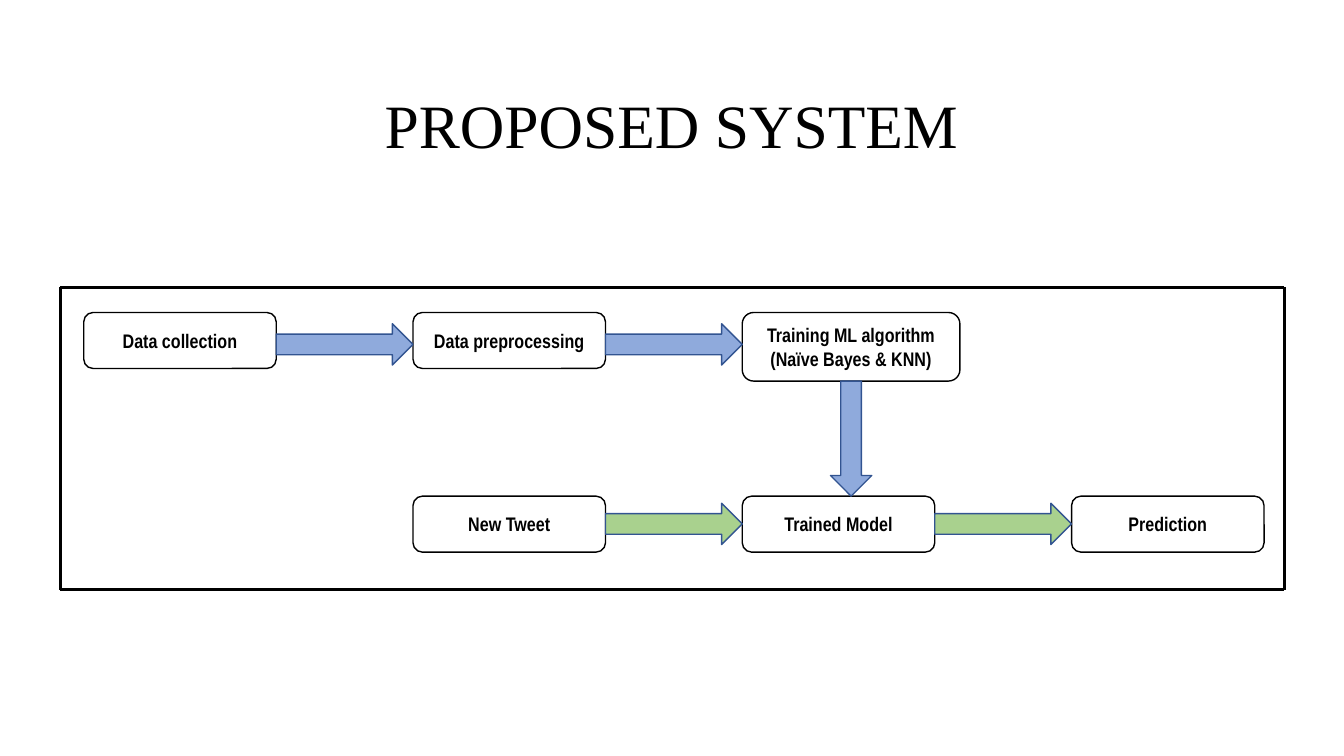
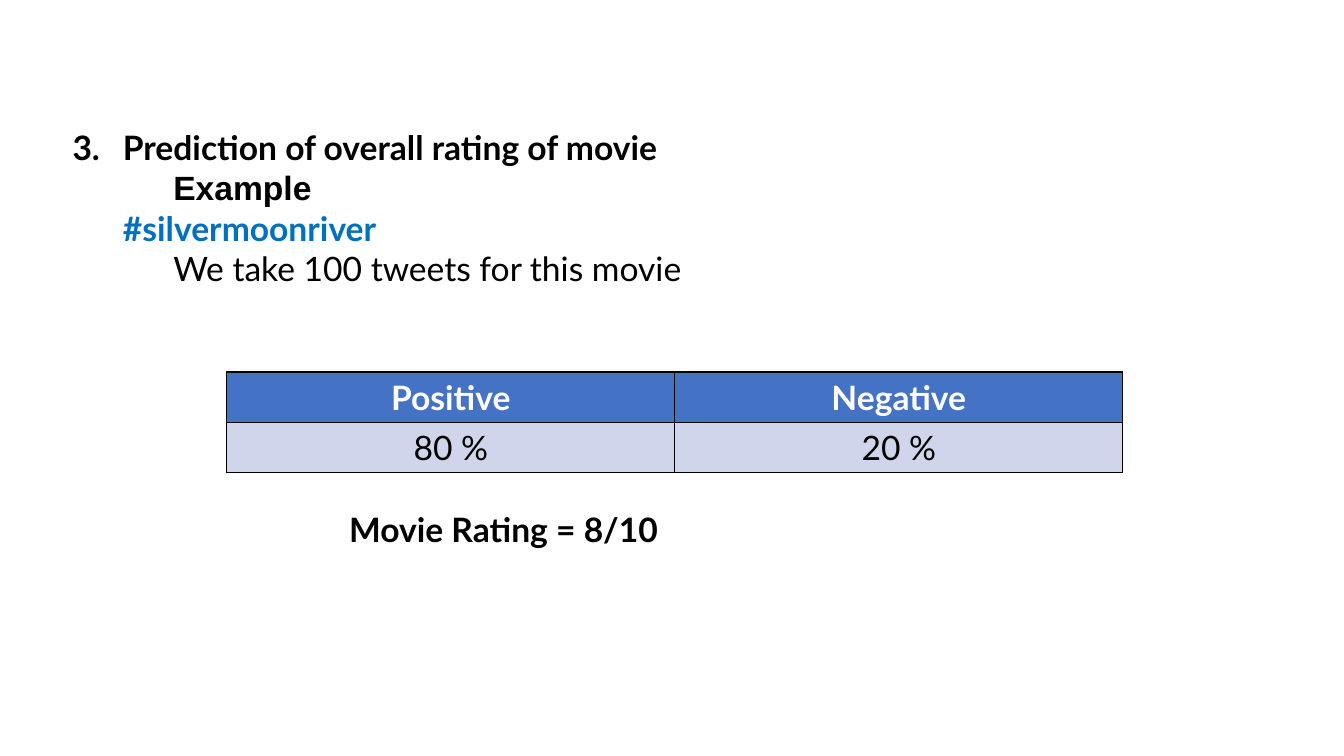
"""Build two slides: the proposed system flow and the movie rating example."""
import pptx
import pptx.util
import pptx.dml.color
import pptx.enum.shapes
import pptx.enum.text
import pptx.oxml.ns
from lxml import etree

Pt = pptx.util.Pt
Shape = pptx.enum.shapes.MSO_SHAPE
Align = pptx.enum.text.PP_ALIGN
Anchor = pptx.enum.text.MSO_ANCHOR
qn = pptx.oxml.ns.qn

HUES = {
    "ink": "000000", "paper": "FFFFFF", "train": "8FAADC", "test": "A9D18E",
    "edge": "325491", "tag": "0070C0", "head": "4472C4", "cell": "CFD5EA",
}
TITLE = "PROPOSED SYSTEM"
SMALL, LARGE = (137.5, 40), (155.5, 49)
TOP, LOW = 223.2, 354.4
BOXES = [
    ("Data collection", 0, TOP, SMALL),
    ("Data preprocessing", 1, TOP, SMALL),
    ("Training ML algorithm (Naïve Bayes & KNN)", 2, TOP, LARGE),
    ("New Tweet", 1, LOW, SMALL),
    ("Trained Model", 2, LOW, SMALL),
    ("Prediction", 3, LOW, SMALL),
]
ARROWS = [(0, 246, "train"), (1, 246, "train"), (1, 374.2, "test"), (2, 374.2, "test")]
LEFT, STEP, THICK = 59.8, 235.2, 29.5
FRAME = [(43.2, 205.2), (917.3, 205.2), (917.3, 421.2), (43.2, 421.2)]

STEPS = [
    ("Prediction of overall rating of movie", 72, "Lato", "ink", True),
    ("Example", 108, "Arial", "ink", True),
    ("#silvermoonriver", 72, "Lato", "tag", True),
    ("We take 100 tweets for this movie", 108, "Lato", "ink", False),
]
TABLE = [("Positive", "Negative"), ("80 %", "20 %")]
LOOKS = [("head", "paper", True), ("cell", "ink", False)]
RATING = "Movie Rating = 8/10"


def rgb(hue):
    return pptx.dml.color.RGBColor.from_string(HUES[hue])


def style(para, face, size, hue="ink", bold=False, align=Align.CENTER):
    para.alignment = align
    for run in para.runs:
        font = run.font
        font.name, font.size, font.bold = face, Pt(size), bold
        font.color.rgb = rgb(hue)


def place(item, x, y, w, h):
    item.left, item.top, item.width, item.height = Pt(x), Pt(y), Pt(w), Pt(h)


def draw(slide, kind, x, y, w, h, fill, line):
    item = slide.shapes.add_shape(kind, Pt(x), Pt(y), Pt(w), Pt(h))
    item.shadow.inherit = False
    item.fill.solid()
    item.fill.fore_color.rgb = rgb(fill)
    item.line.color.rgb = rgb(line)
    item.line.width = Pt(1)
    return item


def rule(slide, start, end):
    line = slide.shapes.add_connector(
        pptx.enum.shapes.MSO_CONNECTOR.STRAIGHT, *map(Pt, start + end))
    line.line.color.rgb = rgb("ink")
    line.line.width = Pt(2.25)
    etree.SubElement(line._element.spPr, qn("a:effectLst"))


def mark(para, indent, start=None):
    props = para._p.get_or_add_pPr()
    props.set("marL", str(Pt(indent)))
    props.set("indent", str(Pt(-36 if start else 0)))
    if start:
        etree.SubElement(props, qn("a:buAutoNum"), type="arabicPeriod", startAt=str(start))
    else:
        etree.SubElement(props, qn("a:buNone"))


def border(cell):
    props = cell._tc.get_or_add_tcPr()
    for side in ("lnL", "lnR", "lnT", "lnB"):
        line = etree.SubElement(props, qn("a:" + side), w=str(Pt(1)))
        fill = etree.SubElement(line, qn("a:solidFill"))
        etree.SubElement(fill, qn("a:srgbClr"), val=HUES["ink"])


def flow(deck):
    slide = deck.slides.add_slide(deck.slide_layouts[5])
    title = slide.shapes.title
    place(title, 267, 58.3, 425.5, 60.5)
    frame = title.text_frame
    frame.text = TITLE
    frame.auto_size = pptx.enum.text.MSO_AUTO_SIZE.NONE
    frame.word_wrap = False
    style(frame.paragraphs[0], "Times New Roman", 44)

    for text, col, y, (w, h) in BOXES:
        box = draw(slide, Shape.ROUNDED_RECTANGLE, LEFT + col * STEP, y, w, h, "paper", "ink")
        box.text_frame.text = text
        box.text_frame.word_wrap = True
        box.text_frame.vertical_anchor = Anchor.MIDDLE
        style(box.text_frame.paragraphs[0], "Arial Narrow", 14, bold=True)

    for col, mid, hue in ARROWS:
        draw(slide, Shape.RIGHT_ARROW, LEFT + col * STEP + SMALL[0], mid - THICK / 2,
             STEP - SMALL[0], THICK, hue, "edge")
    x = LEFT + 2 * STEP + (LARGE[0] - THICK) / 2
    y = TOP + LARGE[1]
    draw(slide, Shape.DOWN_ARROW, x, y, THICK, LOW - y, "train", "edge")

    for start, end in zip(FRAME, FRAME[1:] + FRAME[:1]):
        rule(slide, start, end)


def rating(deck):
    slide = deck.slides.add_slide(deck.slide_layouts[1])
    title = slide.shapes.title
    title._element.getparent().remove(title._element)
    body = slide.placeholders[1]
    place(body, 8.6, 87.1, 944.6, 124)
    frame = body.text_frame
    frame.text = "\n".join(step[0] for step in STEPS)
    frame.auto_size = pptx.enum.text.MSO_AUTO_SIZE.NONE
    for row, (para, step) in enumerate(zip(frame.paragraphs, STEPS)):
        text, indent, face, hue, bold = step
        mark(para, indent, 3 if row == 0 else None)
        para.space_before = Pt(0)
        style(para, face, 24, hue, bold, Align.LEFT)

    grid = slide.shapes.add_table(2, 2, Pt(162), Pt(265.7), Pt(640), Pt(72)).table
    for r, (texts, (fill, hue, bold)) in enumerate(zip(TABLE, LOOKS)):
        for c, text in enumerate(texts):
            cell = grid.cell(r, c)
            border(cell)
            cell.fill.solid()
            cell.fill.fore_color.rgb = rgb(fill)
            cell.text_frame.text = text
            style(cell.text_frame.paragraphs[0], "Lato", 24, hue, bold)

    note = slide.shapes.add_textbox(Pt(236.9), Pt(360), Pt(245.5), Pt(36))
    note.text_frame.text = RATING
    note.text_frame.word_wrap = True
    style(note.text_frame.paragraphs[0], "Lato", 24, bold=True)


def main():
    deck = pptx.Presentation()
    deck.slide_width, deck.slide_height = Pt(960), Pt(540)
    flow(deck)
    rating(deck)
    deck.save("out.pptx")


if __name__ == "__main__":
    main()
